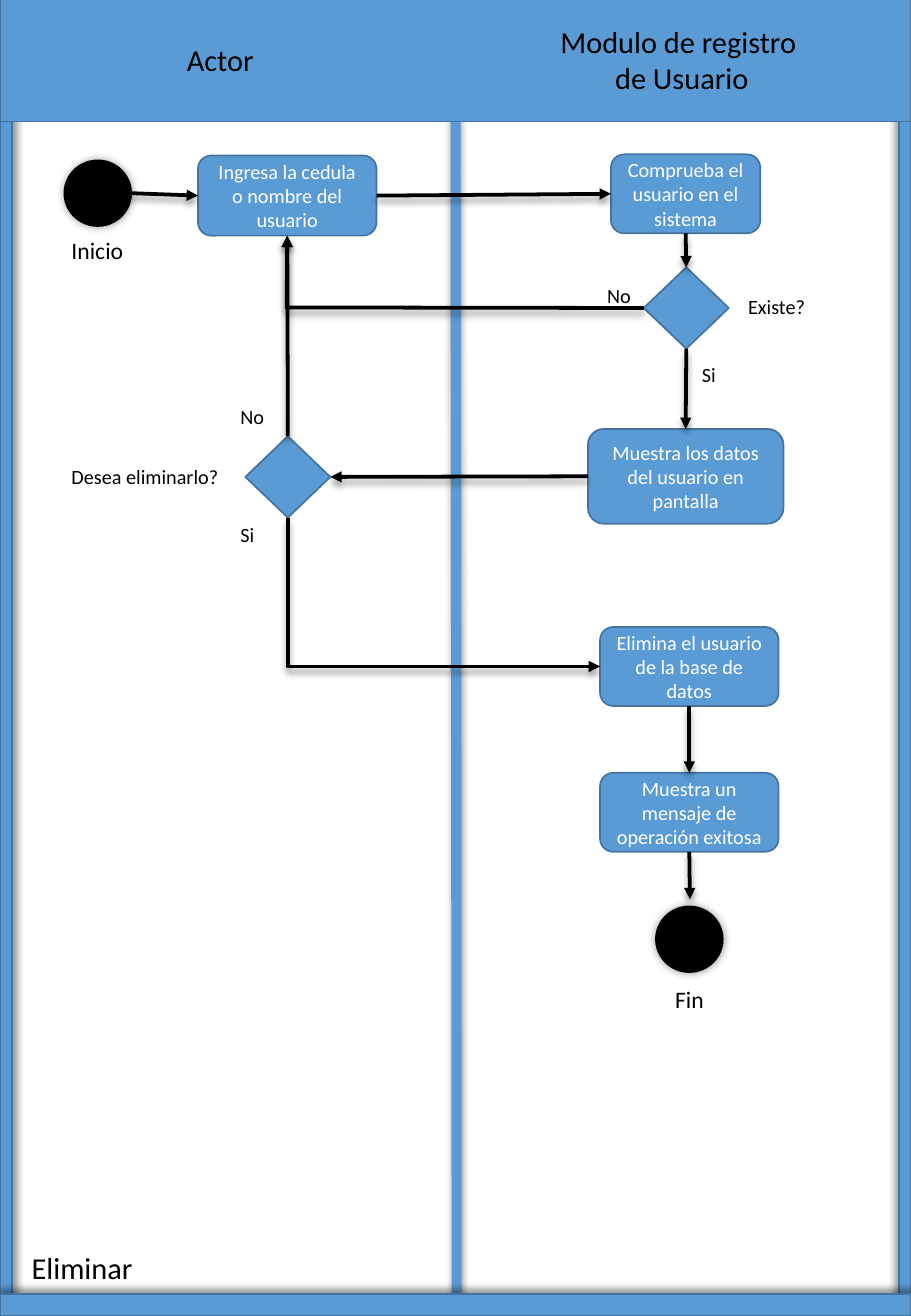
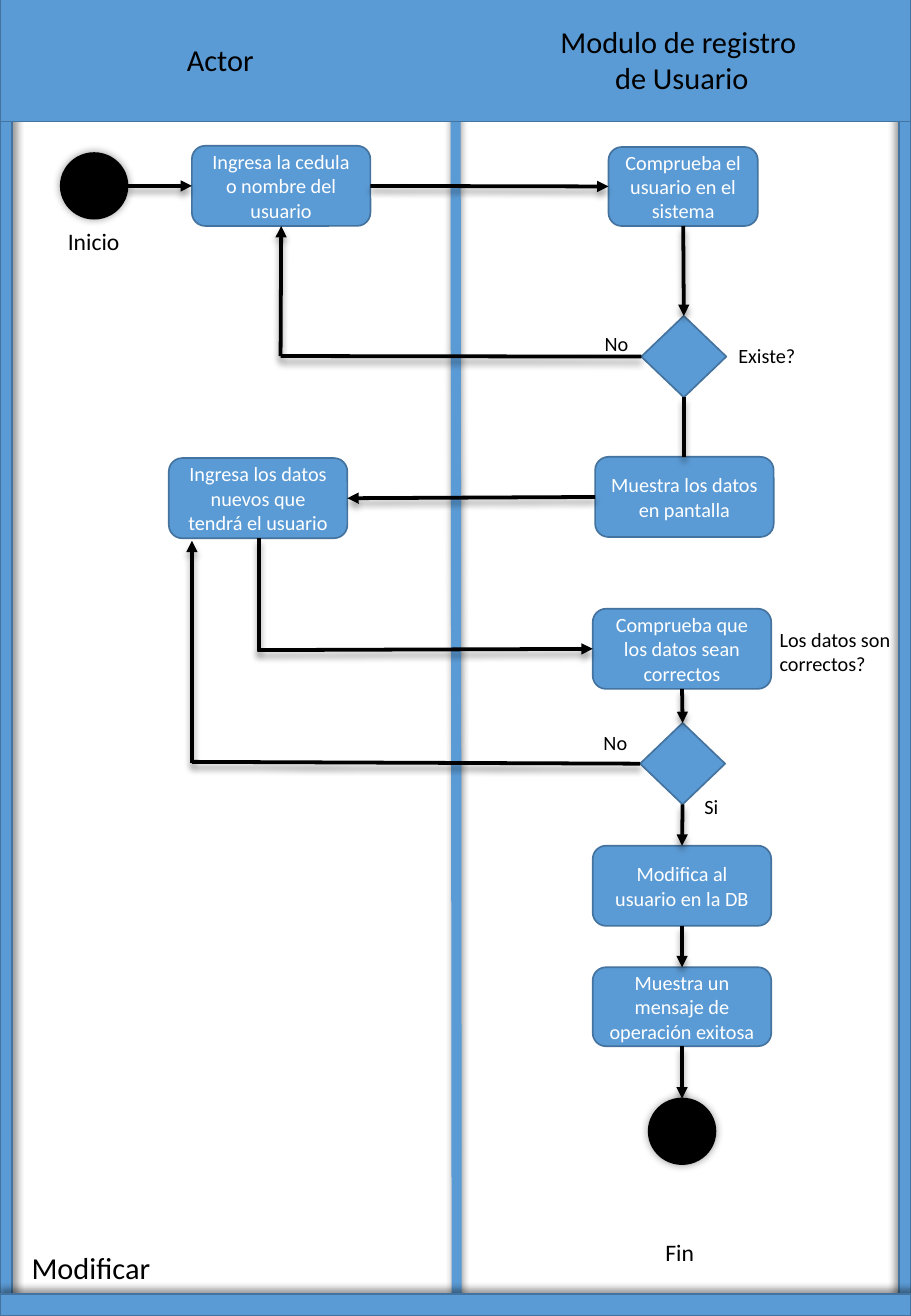
from dataclasses import dataclass
from enum import IntEnum
from typing import NamedTuple, Optional, Union

from lxml.etree import SubElement
from pptx import Presentation
from pptx.dml.color import RGBColor
from pptx.enum.shapes import MSO_CONNECTOR, MSO_SHAPE
from pptx.enum.text import MSO_ANCHOR, MSO_AUTO_SIZE, PP_ALIGN
from pptx.oxml.ns import qn
from pptx.util import Inches, Pt

# Shared look
BLUE = RGBColor(0x5B, 0x9B, 0xD5)
EDGE = RGBColor(0x43, 0x73, 0x9E)
BLACK = RGBColor(0, 0, 0)
WHITE = RGBColor(0xFF, 0xFF, 0xFF)
FONT = "Calibri"
WIDTH, HEIGHT = 7.5, 10.83
BOX, CIRCLE, DECISION = (MSO_SHAPE.ROUNDED_RECTANGLE, MSO_SHAPE.OVAL,
                         MSO_SHAPE.FLOWCHART_DECISION)


class Side(IntEnum):
    TOP = 0
    LEFT = 1
    BOTTOM = 2
    RIGHT = 3


class Point(NamedTuple):
    x: float
    y: float


class Site(NamedTuple):
    node: str
    side: Side


End = Union[Point, Site]


@dataclass(frozen=True)
class Node:
    key: str
    x: float
    y: float
    text: str = ""
    w: float = 1.47
    h: float = 0.66
    kind: MSO_SHAPE = BOX


@dataclass(frozen=True)
class Link:
    start: End
    end: End
    arrow: bool = True
    elbow: bool = False


@dataclass(frozen=True)
class Label:
    text: str
    x: float
    y: float
    w: float
    h: float = 0.3
    size: int = 12
    align: PP_ALIGN = PP_ALIGN.LEFT
    wrap: bool = False


@dataclass(frozen=True)
class Rail:
    x: float
    y: float
    w: float
    h: float
    shadow_angle: Optional[int] = None


@dataclass(frozen=True)
class Diagram:
    title: Label
    nodes: list[Node]
    links: list[Link]
    labels: list[Label]


def circle(key: str, x: float, y: float) -> Node:
    return Node(key, x, y, w=0.55, h=0.54, kind=CIRCLE)


def decision(key: str, x: float, y: float) -> Node:
    return Node(key, x, y, w=0.7, h=0.67, kind=DECISION)


def down(*keys: str) -> list[Link]:
    """Arrows leading down a chain of nodes."""
    return [Link(Site(a, Side.BOTTOM), Site(b, Side.TOP))
            for a, b in zip(keys, keys[1:])]


# Frame and lane headings
RAILS = [
    Rail(0, 0, 0.1, HEIGHT, 45),
    Rail(WIDTH - 0.1, 0.01, 0.1, HEIGHT, 225),
    Rail(0, HEIGHT - 0.18, WIDTH, 0.18, 270),
    Rail(0, -0.02, WIDTH, 1.02),
]
HEADINGS = [
    Label("Actor", 1.44, 0.29, 0.76, 0.4, 18),
    Label("Modulo de registro\n de Usuario", 4.5, 0.14, 2.17, 0.71, 18, PP_ALIGN.CENTER),
]

ENTER_TEXT = "Ingresa la cedula o nombre del usuario"
CHECK_TEXT = "Comprueba el usuario en el sistema"
DONE_TEXT = "Muestra un mensaje de operación exitosa"
ENTER_TO_CHECK = Link(Site("enter", Side.RIGHT), Site("check", Side.LEFT))

DELETE = Diagram(
    title=Label("Eliminar", 0.16, 10.23, 1.04, 0.4, 18),
    nodes=[
        circle("start", 0.53, 1.32),
        Node("enter", 1.63, 1.28, ENTER_TEXT),
        Node("check", 5.03, 1.27, CHECK_TEXT, 1.23, 0.65),
        decision("exists", 5.3, 2.2),
        Node("show", 4.84, 3.53, "Muestra los datos del usuario en pantalla", 1.61, 0.78),
        decision("confirm", 2.02, 3.59),
        Node("delete", 4.94, 5.16, "Elimina el usuario de la base de datos", h=0.65),
        Node("done", 4.94, 6.36, DONE_TEXT, h=0.65),
        circle("end", 5.4, 7.46),
    ],
    links=[
        Link(Point(1.08, 1.59), Site("enter", Side.LEFT)),
        ENTER_TO_CHECK,
        *down("check", "exists", "show"),
        Link(Site("exists", Side.LEFT), Point(2.37, 2.53), arrow=False),
        Link(Point(2.36, 2.54), Site("enter", Side.BOTTOM)),
        Link(Site("show", Side.LEFT), Site("confirm", Side.RIGHT)),
        Link(Site("confirm", Side.TOP), Site("enter", Side.BOTTOM)),
        Link(Site("confirm", Side.BOTTOM), Site("delete", Side.LEFT), elbow=True),
        *down("delete", "done"),
        Link(Site("done", Side.BOTTOM), Point(5.68, 7.4)),
    ],
    labels=[
        Label("Inicio", 0.49, 1.89, 0.63, 0.34, 14),
        Label("Existe?", 6.06, 2.37, 0.68),
        Label("No", 4.9, 2.28, 0.4),
        Label("Si", 5.68, 2.93, 0.32),
        Label("Desea eliminarlo?", 0.49, 3.77, 1.43),
        Label("No", 1.88, 3.28, 0.4),
        Label("Si", 1.88, 4.25, 0.32),
        Label("Fin", 5.46, 8.06, 0.44, 0.34, 14),
    ],
)

MODIFY = Diagram(
    title=Label("Modificar", 0.16, 10.23, 1.19, 0.4, 18),
    nodes=[
        circle("start", 0.5, 1.26),
        Node("enter", 1.58, 1.2, ENTER_TEXT),
        Node("check", 5.01, 1.21, CHECK_TEXT, 1.23, 0.65),
        decision("exists", 5.28, 2.6),
        Node("show", 4.9, 3.76, "Muestra los datos en pantalla"),
        Node("edit", 1.39, 3.77, "Ingresa los datos nuevos que tendrá el usuario"),
        Node("verify", 4.88, 5.01, "Comprueba que los datos sean correctos"),
        decision("correct", 5.27, 5.95),
        Node("save", 4.88, 6.96, "Modifica al usuario en la DB"),
        Node("done", 4.88, 7.96, DONE_TEXT, h=0.65),
        circle("end", 5.34, 9.04),
    ],
    links=[
        Link(Point(1.05, 1.53), Site("enter", Side.LEFT)),
        ENTER_TO_CHECK,
        *down("check", "exists"),
        Link(Site("exists", Side.LEFT), Point(2.31, 2.93), arrow=False),
        Link(Point(2.31, 2.93), Site("enter", Side.BOTTOM)),
        Link(Site("exists", Side.BOTTOM), Point(5.63, 3.76), arrow=False),
        Link(Site("show", Side.LEFT), Site("edit", Side.RIGHT)),
        Link(Point(2.13, 4.43), Point(2.13, 5.36), arrow=False),
        Link(Point(2.12, 5.35), Site("verify", Side.LEFT)),
        *down("verify", "correct", "save", "done", "end"),
        Link(Site("correct", Side.LEFT), Point(1.58, 6.27), arrow=False),
        Link(Point(1.58, 6.28), Point(1.58, 4.45)),
    ],
    labels=[
        Label("Inicio", 0.46, 1.82, 0.63, 0.34, 14),
        Label("Existe?", 5.98, 2.78, 0.68),
        Label("No", 4.88, 2.68, 0.4),
        Label("Los datos son correctos?", 6.32, 5.11, 1.27, 0.5, wrap=True),
        Label("No", 4.87, 5.96, 0.4),
        Label("Si", 5.7, 6.49, 0.32),
        Label("Fin", 5.38, 10.14, 0.44, 0.34, 14),
    ],
)


def add_shadow(sp, angle: int, blur: float = 4, dist: float = 3) -> None:
    """Soft black shadow at 40 % opacity; call after the line is set."""
    spPr = sp._element.spPr
    effects = spPr.find(qn("a:effectLst"))
    if effects is None:
        effects = SubElement(spPr, qn("a:effectLst"))
    outer = SubElement(effects, qn("a:outerShdw"), blurRad=str(Pt(blur)),
                       dist=str(Pt(dist)), dir=str(angle * 60000), rotWithShape="0")
    color = SubElement(outer, qn("a:srgbClr"), val=str(BLACK))
    SubElement(color, qn("a:alpha"), val="40000")


def format_text(tf, size: int, color: RGBColor, align: PP_ALIGN) -> None:
    for p in tf.paragraphs:
        p.alignment = align
        for r in p.runs:
            r.font.name, r.font.size = FONT, Pt(size)
            r.font.color.rgb = color


def fill_label(sp, label: Label) -> None:
    tf = sp.text_frame
    tf.text = label.text
    tf.word_wrap = label.wrap
    tf.auto_size = MSO_AUTO_SIZE.SHAPE_TO_FIT_TEXT
    tf.vertical_anchor = MSO_ANCHOR.TOP
    format_text(tf, label.size, BLACK, label.align)


def add_label(s, label: Label) -> None:
    fill_label(s.shapes.add_textbox(Inches(label.x), Inches(label.y),
                                    Inches(label.w), Inches(label.h)), label)


def place_title(s, label: Label) -> None:
    sp = s.shapes.title
    sp.left, sp.top = Inches(label.x), Inches(label.y)
    sp.width, sp.height = Inches(label.w), Inches(label.h)
    fill_label(sp, label)


def add_block(s, kind: MSO_SHAPE, x: float, y: float, w: float, h: float,
              fill: RGBColor = BLUE, edge: RGBColor = EDGE):
    sp = s.shapes.add_shape(kind, Inches(x), Inches(y), Inches(w), Inches(h))
    sp.fill.solid()
    sp.fill.fore_color.rgb = fill
    sp.line.color.rgb, sp.line.width = edge, Pt(1)
    sp.shadow.inherit = False
    return sp


def add_node(s, node: Node):
    colors = (BLACK, BLACK) if node.kind == CIRCLE else (BLUE, EDGE)
    sp = add_block(s, node.kind, node.x, node.y, node.w, node.h, *colors)
    if node.kind == CIRCLE:
        add_shadow(sp, 0, blur=5, dist=0)
    if node.text:
        sp.text_frame.text = node.text
        sp.text_frame.vertical_anchor = MSO_ANCHOR.MIDDLE
        format_text(sp.text_frame, 12, WHITE, PP_ALIGN.CENTER)
    return sp


def add_line(s, a: Point, b: Point, color: RGBColor, width: float):
    c = s.shapes.add_connector(MSO_CONNECTOR.STRAIGHT, Inches(a.x), Inches(a.y),
                               Inches(b.x), Inches(b.y))
    c.line.color.rgb, c.line.width = color, Pt(width)
    return c


def bend(c) -> None:
    """Turn a connector into an elbow that runs down, then right."""
    dx, dy = c.width, c.height
    mid_x, mid_y = c.left + dx // 2, c.top + dy // 2
    c.left, c.top, c.width, c.height = mid_x - dy // 2, mid_y - dx // 2, dy, dx
    spPr = c._element.spPr
    spPr.find(qn("a:prstGeom")).set("prst", "bentConnector2")
    xfrm = spPr.find(qn("a:xfrm"))
    xfrm.set("rot", str(270 * 60000))
    xfrm.set("flipH", "1")


def add_link(s, link: Link, nodes: dict) -> None:
    a, b = (e if isinstance(e, Point) else Point(0, 0) for e in (link.start, link.end))
    c = add_line(s, a, b, BLACK, 2.25)
    if isinstance(link.start, Site):
        c.begin_connect(nodes[link.start.node], int(link.start.side))
    if isinstance(link.end, Site):
        c.end_connect(nodes[link.end.node], int(link.end.side))
    if link.elbow:
        bend(c)
    if link.arrow:
        SubElement(c._element.spPr.find(qn("a:ln")), qn("a:tailEnd"), type="triangle")
    add_shadow(c, 90)


def add_frame(s) -> None:
    divider = add_line(s, Point(3.75, -0.01), Point(3.76, 10.84), BLUE, 6)
    add_shadow(divider, 270)
    for rail in RAILS:
        sp = add_block(s, MSO_SHAPE.RECTANGLE, rail.x, rail.y, rail.w, rail.h)
        if rail.shadow_angle is not None:
            add_shadow(sp, rail.shadow_angle)
    for heading in HEADINGS:
        add_label(s, heading)


# Build the slides
prs = Presentation()
prs.slide_width, prs.slide_height = Inches(WIDTH), Inches(HEIGHT)
for diagram in (DELETE, MODIFY):
    s = prs.slides.add_slide(prs.slide_layouts[5])
    place_title(s, diagram.title)
    add_frame(s)
    nodes = {node.key: add_node(s, node) for node in diagram.nodes}
    for link in diagram.links:
        add_link(s, link, nodes)
    for label in diagram.labels:
        add_label(s, label)
prs.save("out.pptx")
